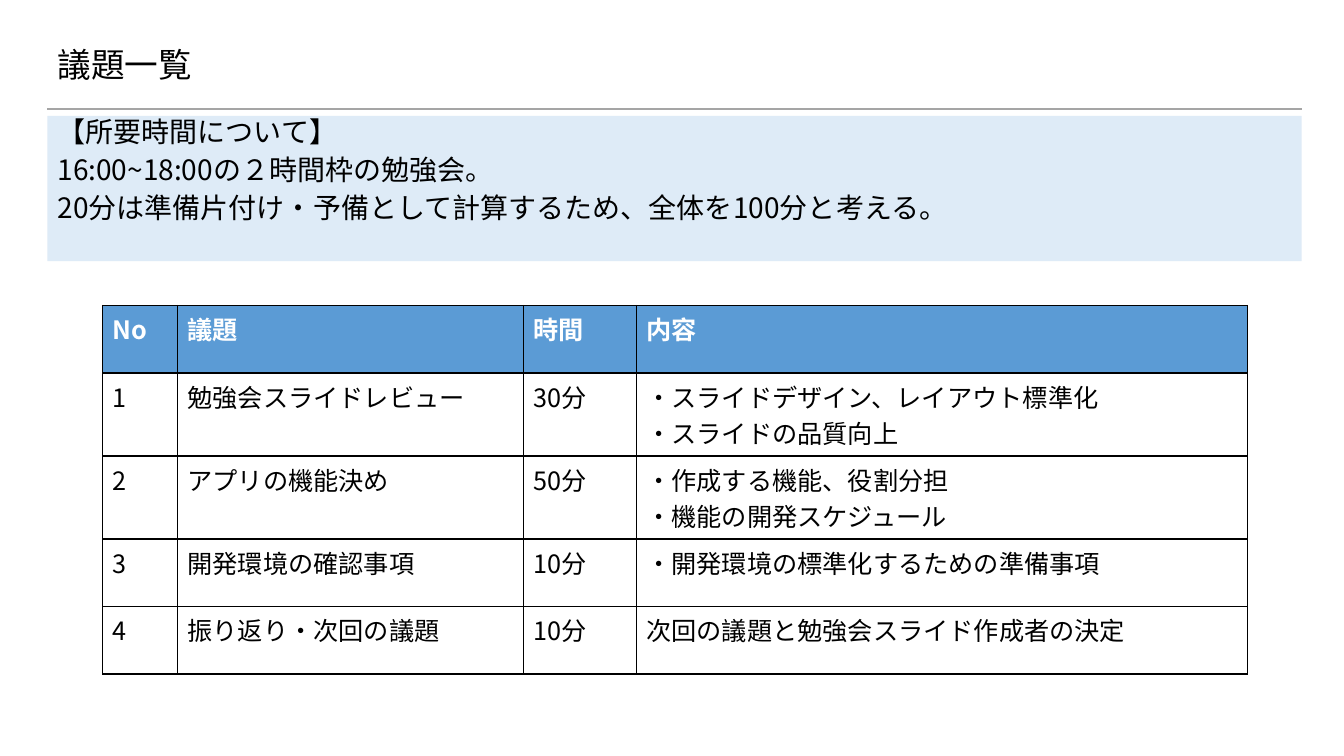
from lxml.etree import SubElement
from pptx import Presentation
from pptx.dml.color import RGBColor
from pptx.enum.shapes import MSO_CONNECTOR
from pptx.enum.text import MSO_ANCHOR, MSO_AUTO_SIZE, PP_ALIGN
from pptx.oxml.ns import qn
from pptx.util import Inches, Pt

COLORS = {"text": "000000", "white": "FFFFFF", "header": "5B9BD5",
          "panel": "DEEBF7", "rule": "A5A5A5", "border": "000000"}
FONT = "Noto Sans CJK JP"
LEFT, WIDTH = 0.47, 12.44

TITLE = "議題一覧"
TIME_NOTES = ["【所要時間について】",
              "16:00~18:00の２時間枠の勉強会。",
              "20分は準備片付け・予備として計算するため、全体を100分と考える。"]
AGENDA = [["No", "議題", "時間", "内容"],
          ["1", "勉強会スライドレビュー", "30分",
           "・スライドデザイン、レイアウト標準化\n・スライドの品質向上"],
          ["2", "アプリの機能決め", "50分",
           "・作成する機能、役割分担\n・機能の開発スケジュール"],
          ["3", "開発環境の確認事項", "10分", "・開発環境の標準化するための準備事項"],
          ["4", "振り返り・次回の議題", "10分", "次回の議題と勉強会スライド作成者の決定"]]
COLUMN_WIDTHS = [0.74, 3.43, 1.12, 6.06]
ROW_HEIGHT = 0.67


class AgendaSlide:
    """Holds the deck style and the slide being filled."""

    def __init__(self):
        self.deck = Presentation()
        self.deck.slide_width, self.deck.slide_height = Inches(13.33), Inches(7.5)
        self.slide = self.deck.slides.add_slide(self.deck.slide_layouts[1])

    def color(self, key):
        """Return the named colour."""
        return RGBColor.from_string(COLORS[key])

    def fill(self, target, key):
        """Give a shape or cell a solid fill."""
        target.fill.solid()
        target.fill.fore_color.rgb = self.color(key)

    def set_text(self, frame, text, size, color="text", bold=False):
        """Put formatted paragraphs into a text frame."""
        frame.text = text
        for paragraph in frame.paragraphs:
            font = paragraph.font
            font.size, font.bold, font.name = Pt(size), bold, FONT
            font.color.rgb = self.color(color)
            SubElement(font._element, qn("a:ea")).set("typeface", FONT)
            paragraph.alignment = PP_ALIGN.LEFT

    def place(self, holder, left, top, width, height):
        """Move a placeholder to the given inches."""
        holder.left, holder.top = Inches(left), Inches(top)
        holder.width, holder.height = Inches(width), Inches(height)

    def title(self, text, top, width, height):
        """Fill the title placeholder."""
        holder = self.slide.shapes.title
        self.place(holder, LEFT, top, width, height)
        self.set_text(holder.text_frame, text, 24)
        holder.text_frame.vertical_anchor = MSO_ANCHOR.MIDDLE
        holder.text_frame.paragraphs[0].line_spacing = 0.9

    def rule(self, top):
        """Draw the line below the title."""
        line = self.slide.shapes.add_connector(
            MSO_CONNECTOR.STRAIGHT, Inches(LEFT), Inches(top),
            Inches(LEFT + WIDTH), Inches(top))
        line.line.color.rgb = self.color("rule")
        line.line.width = Pt(1.5)
        SubElement(line._element.spPr, qn("a:effectLst"))

    def panel(self, lines, top, height):
        """Fill the body placeholder as a tinted panel."""
        holder = self.slide.placeholders[1]
        self.place(holder, LEFT, top, WIDTH, height)
        self.fill(holder, "panel")
        self.set_text(holder.text_frame, "\n".join(lines), 20)
        holder.text_frame.auto_size = MSO_AUTO_SIZE.NONE
        for paragraph in holder.text_frame.paragraphs:
            paragraph.line_spacing, paragraph.space_before = 0.8, Pt(8)
            properties = paragraph._p.get_or_add_pPr()
            properties.set("marL", "0")
            properties.set("indent", "0")
            properties.insert_element_before(
                properties.makeelement(qn("a:buNone")), "a:tabLst", "a:defRPr")

    def borders(self, cell):
        """Outline a cell on all four sides."""
        properties = cell._tc.get_or_add_tcPr()
        for index, side in enumerate(("lnL", "lnR", "lnT", "lnB")):
            edge = properties.makeelement(qn(f"a:{side}"), {"w": str(Pt(1))})
            fill = SubElement(edge, qn("a:solidFill"))
            SubElement(fill, qn("a:srgbClr")).set("val", COLORS["border"])
            properties.insert(index, edge)

    def table(self, rows, left, top):
        """Add the agenda table with a coloured header row."""
        table = self.slide.shapes.add_table(
            len(rows), len(COLUMN_WIDTHS), Inches(left), Inches(top),
            Inches(sum(COLUMN_WIDTHS)), Inches(ROW_HEIGHT * len(rows))).table
        table.horz_banding = False
        for column, width in zip(table.columns, COLUMN_WIDTHS):
            column.width = Inches(width)
        for row_index, row in enumerate(rows):
            table.rows[row_index].height = Inches(ROW_HEIGHT)
            header = row_index == 0
            for cell, text in zip(table.rows[row_index].cells, row):
                self.set_text(cell.text_frame, text, 18,
                              "white" if header else "text", header)
                self.fill(cell, "header" if header else "white")
                self.borders(cell)


agenda = AgendaSlide()
agenda.rule(1.08)
agenda.title(TITLE, 0.37, 11.5, 0.59)
agenda.panel(TIME_NOTES, 1.15, 1.44)
agenda.table(AGENDA, 1.02, 3.03)
agenda.deck.save("out.pptx")
